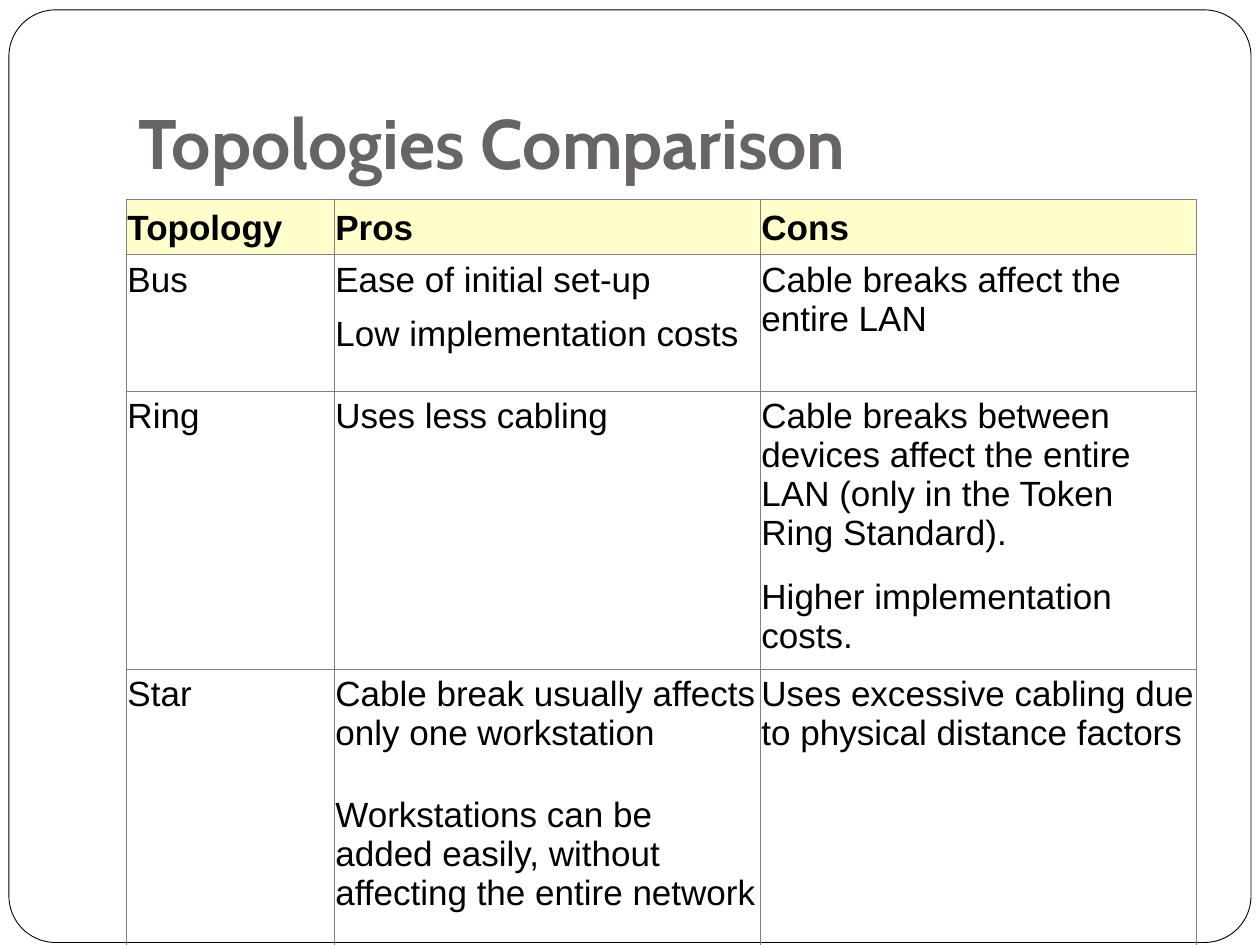
from dataclasses import dataclass

from lxml import etree
from pptx import Presentation
from pptx.dml.color import RGBColor
from pptx.enum.shapes import MSO_SHAPE
from pptx.enum.text import MSO_ANCHOR
from pptx.oxml.ns import qn
from pptx.util import Cm, Pt

ROUNDED = MSO_SHAPE.ROUNDED_RECTANGLE
TOP, BOTTOM = MSO_ANCHOR.TOP, MSO_ANCHOR.BOTTOM

HEADINGS = ("Topology", "Pros", "Cons")
COL_WIDTHS = (4.19, 8.59, 8.79)
ROW_HEIGHTS = (1.04, 0.99, 1.65, 3.4, 1.73, 2.44, 3.23)
ROWS_PER_TOPOLOGY = 2


@dataclass
class Topology:
    name: str
    pros: tuple[str, ...]
    cons: tuple[str, ...]


TOPOLOGIES = (
    Topology(
        "Bus",
        ("Ease of initial set-up", "Low implementation costs"),
        ("Cable breaks affect the entire LAN",),
    ),
    Topology(
        "Ring",
        ("Uses less cabling",),
        (
            "Cable breaks between devices affect the entire LAN "
            "(only in the Token Ring Standard).",
            "Higher implementation costs.",
        ),
    ),
    Topology(
        "Star",
        (
            "Cable break usually affects only one workstation",
            "Workstations can be added easily, without affecting the entire network",
        ),
        ("Uses excessive cabling due to physical distance factors",),
    ),
)


def rgb(color: str) -> RGBColor:
    return RGBColor.from_string(color)


def set_font(p, name: str, size: float, color: str, bold: bool = False) -> None:
    p.font.name = name
    p.font.size = Pt(size)
    p.font.bold = bold
    p.font.color.rgb = rgb(color)


def set_borders(cell, hidden: str = "") -> None:
    """Draw thin grey cell sides, except those named in hidden (of L, R, T, B)."""
    tc_pr = cell._tc.get_or_add_tcPr()
    for side in "LRTB":
        ln = etree.SubElement(tc_pr, qn(f"a:ln{side}"), w=str(Pt(0.23)))
        if side in hidden:
            etree.SubElement(ln, qn("a:noFill"))
        else:
            fill = etree.SubElement(ln, qn("a:solidFill"))
            etree.SubElement(fill, qn("a:srgbClr"), val="808080")


def style_cell(cell, header: bool = False, hidden: str = "") -> None:
    set_borders(cell, hidden)
    cell.margin_left = cell.margin_right = Cm(0.03)
    cell.margin_top = cell.margin_bottom = Cm(0.13)
    cell.vertical_anchor = BOTTOM if header else TOP
    if header:
        cell.fill.solid()
        cell.fill.fore_color.rgb = rgb("FFFFCC")
    else:
        cell.fill.background()


def write_cell(cell, text: str, bold: bool = False) -> None:
    p = cell.text_frame.paragraphs[0]
    p.text = text
    set_font(p, "Arial", 20, "000000", bold)


def add_frame(slide) -> None:
    sp = slide.shapes.add_shape(ROUNDED, Cm(0.18), Cm(0.2), Cm(25.04), Cm(18.8))
    sp.adjustments[0] = 0.05
    sp.shadow.inherit = False
    sp.fill.solid()
    sp.fill.fore_color.rgb = rgb("FFFFFF")
    sp.line.color.rgb = rgb("000000")
    sp.line.width = Pt(0.5)


def add_title(slide, text: str) -> None:
    sp = slide.shapes.add_textbox(Cm(2.54), Cm(0.76), Cm(21.59), Cm(3.18))
    tf = sp.text_frame
    tf.word_wrap = True
    tf.vertical_anchor = BOTTOM
    tf.margin_bottom = Cm(0.25)
    p = tf.paragraphs[0]
    p.text = text
    set_font(p, "Cabin", 40, "696464", bold=True)


def add_comparison(slide) -> None:
    """One topology takes two rows; a column with a single entry merges them."""
    table = slide.shapes.add_table(
        len(ROW_HEIGHTS), len(COL_WIDTHS), Cm(2.54), Cm(4.01),
        Cm(sum(COL_WIDTHS)), Cm(sum(ROW_HEIGHTS)),
    ).table
    table.first_row = table.horz_banding = False
    for column, width in zip(table.columns, COL_WIDTHS):
        column.width = Cm(width)
    for row, height in zip(table.rows, ROW_HEIGHTS):
        row.height = Cm(height)

    for col, heading in enumerate(HEADINGS):
        cell = table.cell(0, col)
        style_cell(cell, header=True)
        write_cell(cell, heading, bold=True)

    for i, topology in enumerate(TOPOLOGIES):
        first = 1 + i * ROWS_PER_TOPOLOGY
        columns = ((topology.name,), topology.pros, topology.cons)
        for col, entries in enumerate(columns):
            upper, lower = table.cell(first, col), table.cell(first + 1, col)
            merged = len(entries) == 1
            style_cell(upper, hidden="" if merged else "B")
            style_cell(lower, hidden="T")
            for cell, entry in zip((upper, lower), entries):
                write_cell(cell, entry)
            if merged:
                upper.merge(lower)


def main() -> None:
    prs = Presentation()
    prs.slide_width, prs.slide_height = Cm(25.4), Cm(19.05)
    slide = prs.slides.add_slide(prs.slide_layouts[6])
    add_frame(slide)
    add_title(slide, "Topologies Comparison")
    add_comparison(slide)
    prs.save("out.pptx")


if __name__ == "__main__":
    main()
